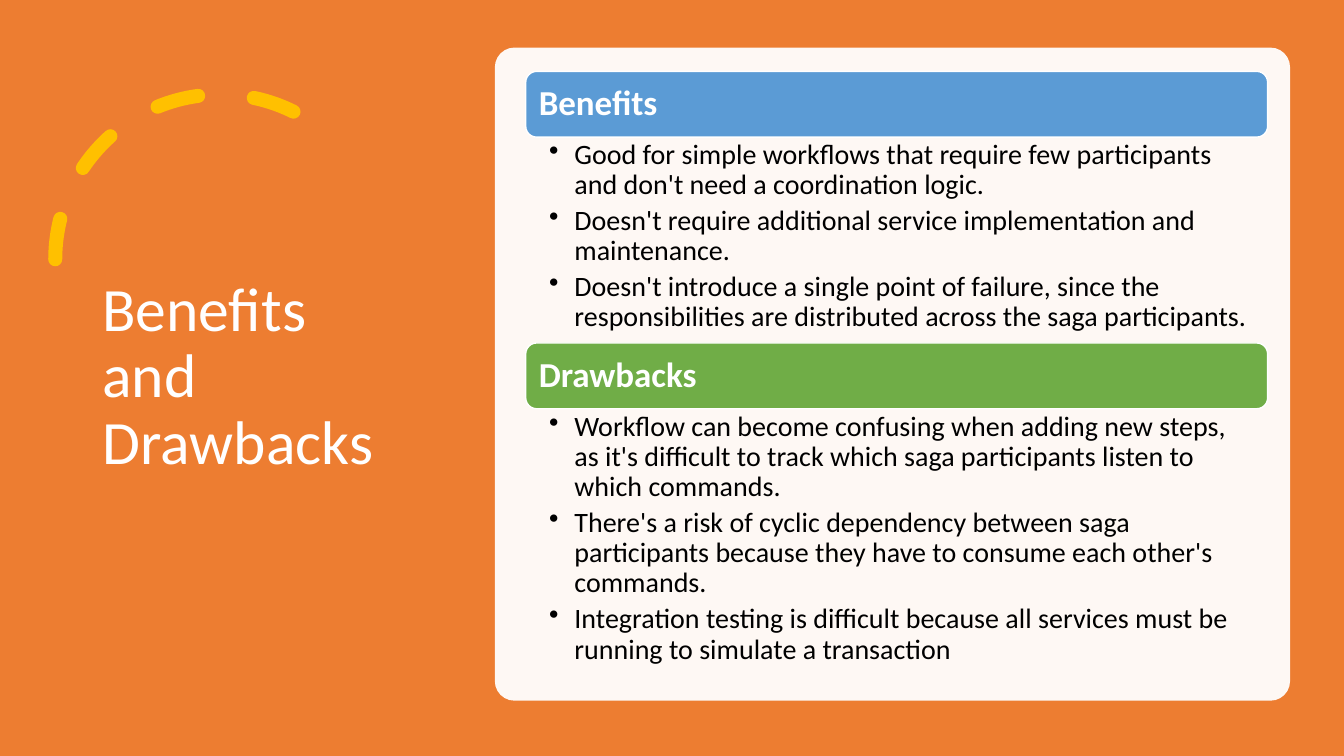
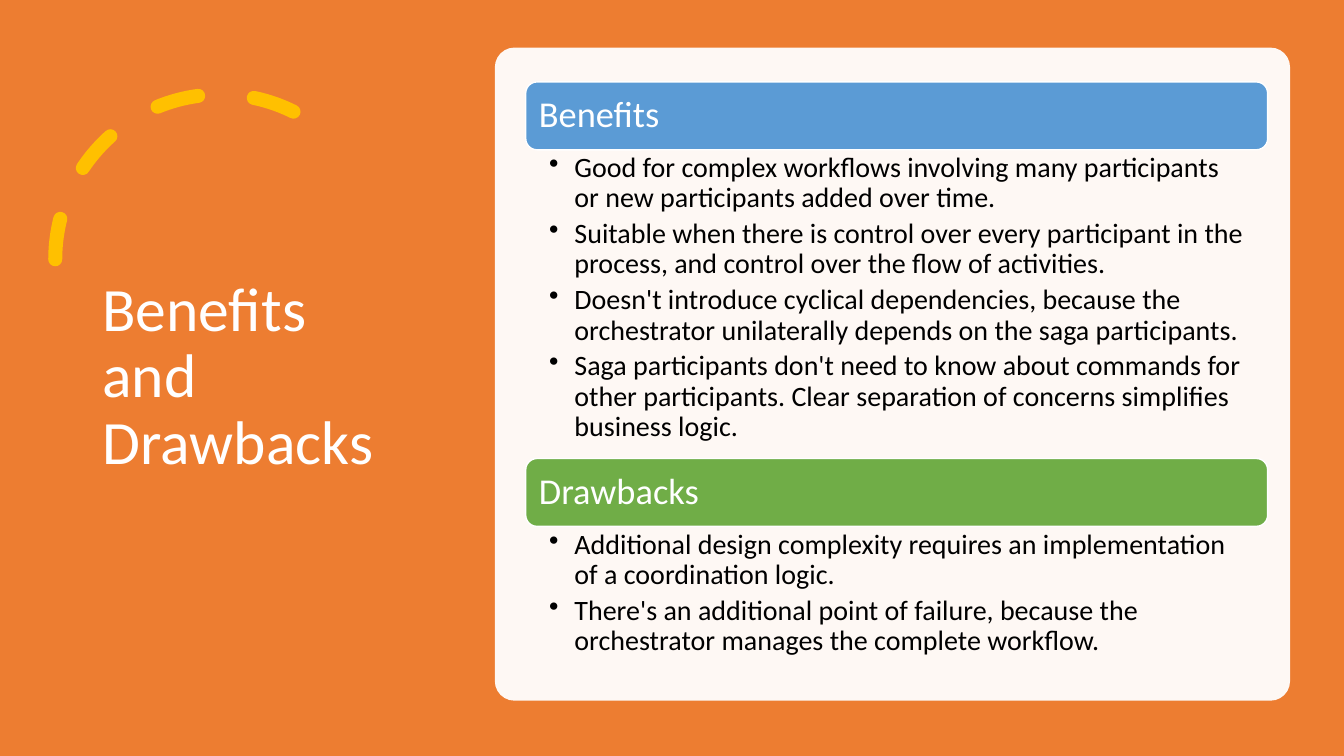
from dataclasses import dataclass

from lxml.etree import SubElement
from pptx import Presentation
from pptx.dml.color import RGBColor
from pptx.enum.dml import MSO_LINE
from pptx.enum.shapes import MSO_SHAPE
from pptx.enum.text import MSO_ANCHOR, MSO_AUTO_SIZE, PP_ALIGN
from pptx.oxml.ns import qn
from pptx.util import Pt

TITLE = "Benefits and Drawbacks"

# Each section: heading, height of its list, bullets
SLIDES = [
    {
        "top": 51, "head": 47, "size": 25, "bold": True, "inset": 2.3,
        "parts": [
            ("Benefits", 147, [
                "Good for simple workflows that require few participants and don't need a coordination logic.",
                "Doesn't require additional service implementation and maintenance.",
                "Doesn't introduce a single point of failure, since the responsibilities are distributed across the saga participants.",
            ]),
            ("Drawbacks", 191.5, [
                "Workflow can become confusing when adding new steps, as it's difficult to track which saga participants listen to which commands.",
                "There's a risk of cyclic dependency between saga participants because they have to consume each other's commands.",
                "Integration testing is difficult because all services must be running to simulate a transaction",
            ]),
        ],
    },
    {
        "top": 58.5, "head": 48.5, "size": 26, "bold": False, "inset": 2.6,
        "parts": [
            ("Benefits", 220.5, [
                "Good for complex workflows involving many participants or new participants added over time.",
                "Suitable when there is control over every participant in the process, and control over the flow of activities.",
                "Doesn't introduce cyclical dependencies, because the orchestrator unilaterally depends on the saga participants.",
                "Saga participants don't need to know about commands for other participants. Clear separation of concerns simplifies business logic.",
            ]),
            ("Drawbacks", 99.5, [
                "Additional design complexity requires an implementation of a coordination logic.",
                "There's an additional point of failure, because the orchestrator manages the complete workflow.",
            ]),
        ],
    },
]


@dataclass(frozen=True)
class Theme:
    font: str = "Calibri"
    back: str = "ED7D31"
    arc: str = "FFC000"
    white: str = "FFFFFF"
    ink: str = "000000"
    bars: tuple = ("5B9BD5", "70AD47")
    title: int = 44
    body: int = 20
    lead: float = 0.9
    gap: int = 4


THEME = Theme()
WIDE, HIGH = 960, 540
TITLE_BOX = (66, 50.5, 232.5, 438.5)
ARC_BOX = (39.5, 67.5, 235.5, 235.5)
PANEL_BOX = (353.5, 34, 568, 466.5)
LEFT, SPAN = 375.5, 530
INDENT = 18


def points(*nums):
    return [Pt(n) for n in nums]


def assign(item, **vals):
    for name, val in vals.items():
        setattr(item, name, val)


def paint(fill, color):
    fill.solid()
    fill.fore_color.rgb = RGBColor.from_string(color)


def style(para, size, color, bold=False):
    assign(para, alignment=PP_ALIGN.LEFT, line_spacing=THEME.lead)
    assign(para.font, name=THEME.font, size=Pt(size), bold=bold)
    para.font.color.rgb = RGBColor.from_string(color)


def add_form(slide, kind, box):
    shape = slide.shapes.add_shape(kind, *points(*box))
    shape.shadow.inherit = False
    return shape


def add_arc(slide):
    arc = add_form(slide, MSO_SHAPE.ARC, ARC_BOX)
    arc.adjustments[0], arc.adjustments[1] = 146.13, 0
    arc.fill.background()
    paint(arc.line.fill, THEME.arc)
    assign(arc.line, width=Pt(10), dash_style=MSO_LINE.DASH)
    props = arc._element.spPr
    props.find(qn("a:xfrm")).set("flipH", "1")
    props.find(qn("a:ln")).set("cap", "rnd")


def add_panel(slide):
    panel = add_form(slide, MSO_SHAPE.ROUNDED_RECTANGLE, PANEL_BOX)
    panel.adjustments[0] = 0.03
    paint(panel.fill, THEME.white)
    panel.line.fill.background()
    color = panel._element.spPr.find(qn("a:solidFill"))[0]
    SubElement(color, qn("a:alpha"), val="95000")


def add_title(slide):
    title = slide.shapes.title
    for name, val in zip(("left", "top", "width", "height"), points(*TITLE_BOX)):
        setattr(title, name, val)
    frame = title.text_frame
    frame.text = TITLE
    assign(frame, vertical_anchor=MSO_ANCHOR.MIDDLE,
           auto_size=MSO_AUTO_SIZE.NONE, word_wrap=True)
    style(frame.paragraphs[0], THEME.title, THEME.white)


def add_bar(slide, text, top, color, look):
    bar = add_form(slide, MSO_SHAPE.ROUNDED_RECTANGLE, (LEFT, top, SPAN, look["head"]))
    paint(bar.fill, color)
    paint(bar.line.fill, THEME.white)
    bar.line.width = Pt(1)
    frame = bar.text_frame
    frame.text = text
    frame.vertical_anchor = MSO_ANCHOR.MIDDLE
    style(frame.paragraphs[0], look["size"], THEME.white, look["bold"])


def add_list(slide, items, top, high, inset):
    frame = slide.shapes.add_textbox(*points(LEFT, top, SPAN, high)).text_frame
    assign(frame, word_wrap=True, margin_left=Pt(16.8), margin_right=Pt(14),
           margin_top=Pt(inset), margin_bottom=Pt(inset))
    for num, item in enumerate(items):
        para = frame.add_paragraph() if num else frame.paragraphs[0]
        para.text = item
        style(para, THEME.body, THEME.ink)
        para.space_after = Pt(THEME.gap)
        props = para._p.get_or_add_pPr()
        props.set("marL", str(Pt(INDENT)))
        props.set("indent", str(-Pt(INDENT)))
        mark = props.makeelement(qn("a:buChar"), {"char": "•"})
        props.insert_element_before(mark, "a:tabLst", "a:defRPr", "a:extLst")


def add_page(deck, look):
    slide = deck.slides.add_slide(deck.slide_layouts[5])
    paint(slide.background.fill, THEME.back)
    add_arc(slide)
    add_title(slide)
    add_panel(slide)
    top = look["top"]
    for (head, high, items), color in zip(look["parts"], THEME.bars):
        add_bar(slide, head, top, color, look)
        top += look["head"]
        add_list(slide, items, top, high, look["inset"])
        top += high


def main():
    deck = Presentation()
    assign(deck, slide_width=Pt(WIDE), slide_height=Pt(HIGH))
    for look in SLIDES:
        add_page(deck, look)
    deck.save("out.pptx")


if __name__ == "__main__":
    main()
